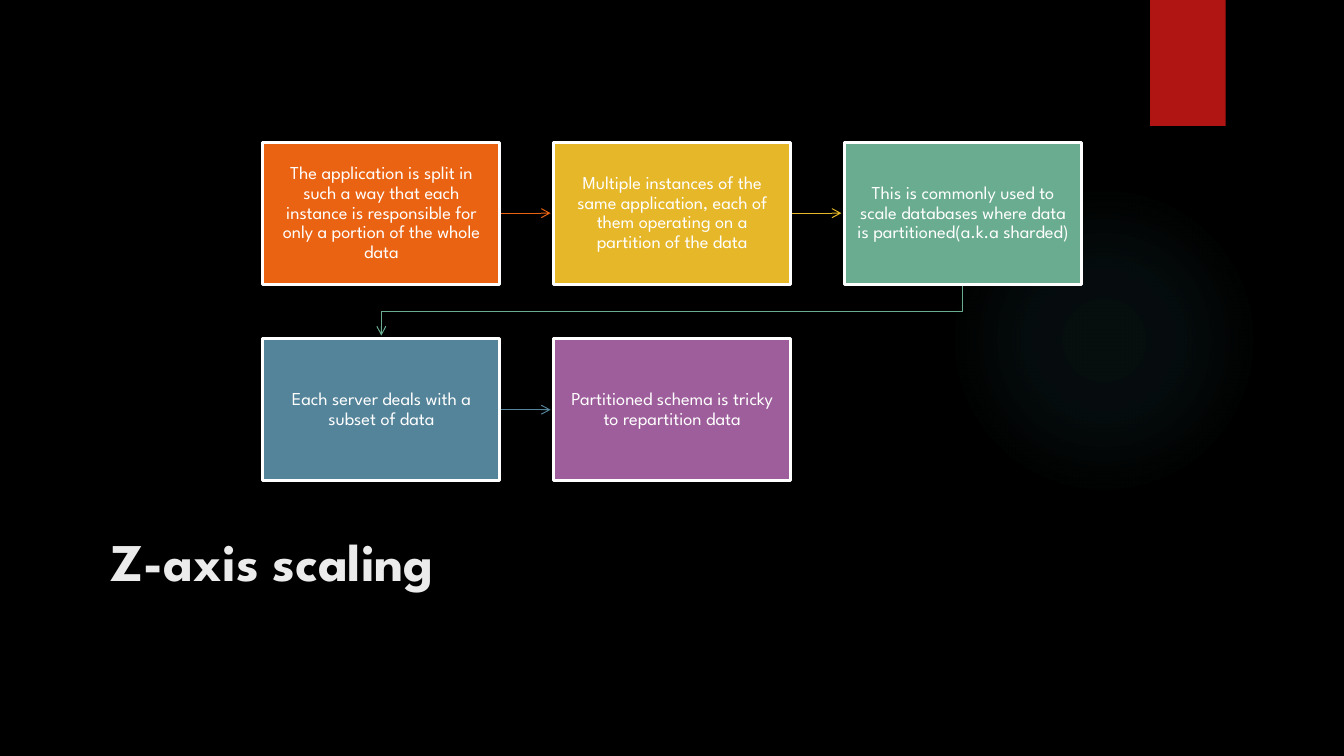
from dataclasses import dataclass

import pptx
import pptx.dml.color
import pptx.enum.shapes
import pptx.enum.text
import pptx.oxml
import pptx.oxml.ns
import pptx.util
from pptx.util import Pt

FONT = "League Spartan"
BOX_WIDTH, BOX_HEIGHT = 169.2, 101.5
LEFT, TOP = 187.8, 101.5
COLUMN_STEP, ROW_STEP = 207.7, 140.4
COLUMNS = 3
ARROW_GAP = 2.2
INSET = 8.6


@dataclass(frozen=True)
class Step:
    text: str
    color: str


STEPS = [
    Step("The application is split in such a way that each instance is "
         "responsible for only a portion of the whole data", "EA6312"),
    Step("Multiple instances of the same application, each of them operating "
         "on a partition of the data", "E6B729"),
    Step("This is commonly used to scale databases where data is "
         "partitioned(a.k.a sharded)", "6AAC90"),
    Step("Each server deals with a subset of data", "54849A"),
    Step("Partitioned schema is tricky to repartition data", "9E5E9B"),
]


def rgb(value: str) -> pptx.dml.color.RGBColor:
    return pptx.dml.color.RGBColor.from_string(value)


def drawing_xml(body: str):
    """Turn one DrawingML element, written without namespace, into XML."""
    tag, rest = body[1:].split(" ", 1)
    return pptx.oxml.parse_xml(f"<{tag} {pptx.oxml.ns.nsdecls('a')} {rest}")


def add_plain_shape(slide, kind, left: float, top: float, width: float, height: float):
    """Add a shape with neither outline nor shadow."""
    shape = slide.shapes.add_shape(kind, Pt(left), Pt(top), Pt(width), Pt(height))
    shape.shadow.inherit = False
    shape.line.fill.background()
    return shape


def add_text(frame, text: str, size: float, color: str, bold: bool = False):
    frame.word_wrap = True
    paragraph = frame.paragraphs[0]
    run = paragraph.add_run()
    run.text = text
    run.font.name = FONT
    run.font.size = Pt(size)
    run.font.bold = bold
    run.font.color.rgb = rgb(color)
    return paragraph


def add_glow(slide) -> None:
    glow = add_plain_shape(slide, pptx.enum.shapes.MSO_SHAPE.OVAL, 677.5, 131.8, 221.8, 221.8)
    stops = "".join(
        f'<a:gs pos="{position * 1000}"><a:srgbClr val="50B9C1">'
        f'<a:alpha val="{alpha * 1000}"/></a:srgbClr></a:gs>'
        for position, alpha in [(0, 7), (36, 6), (69, 0)])
    glow.fill.gradient()
    properties = glow.element.spPr
    properties.replace(
        properties.find(pptx.oxml.ns.qn("a:gradFill")),
        drawing_xml(
            f'<a:gradFill rotWithShape="1"><a:gsLst>{stops}</a:gsLst><a:path path="circle">'
            '<a:fillToRect l="50000" t="50000" r="50000" b="50000"/></a:path></a:gradFill>'))


def add_ribbon(slide) -> None:
    ribbon = add_plain_shape(slide, pptx.enum.shapes.MSO_SHAPE.RECTANGLE, 821.5, 0, 54, 90)
    ribbon.fill.solid()
    ribbon.fill.fore_color.rgb = rgb("B01513")
    ribbon.element.spPr.find(pptx.oxml.ns.qn("a:effectLst")).append(drawing_xml(
        '<a:outerShdw blurRad="38100" dist="25400" dir="5400000" rotWithShape="0">'
        '<a:srgbClr val="000000"><a:alpha val="45000"/></a:srgbClr></a:outerShdw>'))


def add_title(slide) -> None:
    title = slide.shapes.add_textbox(Pt(72), Pt(361.4), Pt(815.8), Pt(102.2))
    title.text_frame.margin_top = Pt(16.5)
    add_text(title.text_frame, "Z-axis scaling", 37.8, "EBEBEB", bold=True)


def box_corner(index: int) -> tuple[float, float]:
    row, column = divmod(index, COLUMNS)
    return LEFT + column * COLUMN_STEP, TOP + row * ROW_STEP


def add_step(slide, index: int, step: Step) -> None:
    box = add_plain_shape(slide, pptx.enum.shapes.MSO_SHAPE.RECTANGLE,
                          *box_corner(index), BOX_WIDTH, BOX_HEIGHT)
    box.fill.solid()
    box.fill.fore_color.rgb = rgb(step.color)
    box.line.color.rgb = rgb("FFFFFF")
    box.line.width = Pt(2.25)
    frame = box.text_frame
    frame.margin_left = frame.margin_right = Pt(INSET)
    frame.margin_top = frame.margin_bottom = Pt(INSET)
    frame.vertical_anchor = pptx.enum.text.MSO_ANCHOR.MIDDLE
    paragraph = add_text(frame, step.text, 13, "FFFFFF")
    paragraph.alignment = pptx.enum.text.PP_ALIGN.CENTER
    paragraph.line_spacing = 0.9


def add_arrow(slide, index: int, color: str) -> None:
    """Lead from one box to the next, bending down at the end of a row."""
    left, top = box_corner(index)
    next_left, next_top = box_corner(index + 1)
    if next_top == top:
        middle = top + BOX_HEIGHT / 2
        arrow = slide.shapes.add_connector(
            pptx.enum.shapes.MSO_CONNECTOR.STRAIGHT,
            Pt(left + BOX_WIDTH), Pt(middle), Pt(next_left - ARROW_GAP), Pt(middle))
        arrow.element.spPr.append(drawing_xml("<a:effectLst />"))
    else:
        start, end = left + BOX_WIDTH / 2, next_left + BOX_WIDTH / 2
        bottom = top + BOX_HEIGHT
        bend = (bottom + next_top) / 2
        outline = slide.shapes.build_freeform(Pt(start), Pt(bottom))
        outline.add_line_segments(
            [(Pt(start), Pt(bend)), (Pt(end), Pt(bend)), (Pt(end), Pt(next_top - ARROW_GAP))],
            close=False)
        arrow = outline.convert_to_shape()
        arrow.fill.background()
        arrow.shadow.inherit = False
    arrow.line.color.rgb = rgb(color)
    arrow.line.width = Pt(0.75)
    arrow.element.spPr.find(pptx.oxml.ns.qn("a:ln")).append(
        drawing_xml('<a:tailEnd type="arrow"/>'))


def main() -> None:
    presentation = pptx.Presentation()
    presentation.slide_width, presentation.slide_height = Pt(960), Pt(540)
    slide = presentation.slides.add_slide(presentation.slide_layouts[6])
    slide.background.fill.solid()
    slide.background.fill.fore_color.rgb = rgb("000000")
    add_glow(slide)
    add_ribbon(slide)
    add_title(slide)
    for index, step in enumerate(STEPS):
        if index + 1 < len(STEPS):
            add_arrow(slide, index, step.color)
        add_step(slide, index, step)
    presentation.save("out.pptx")


if __name__ == "__main__":
    main()
